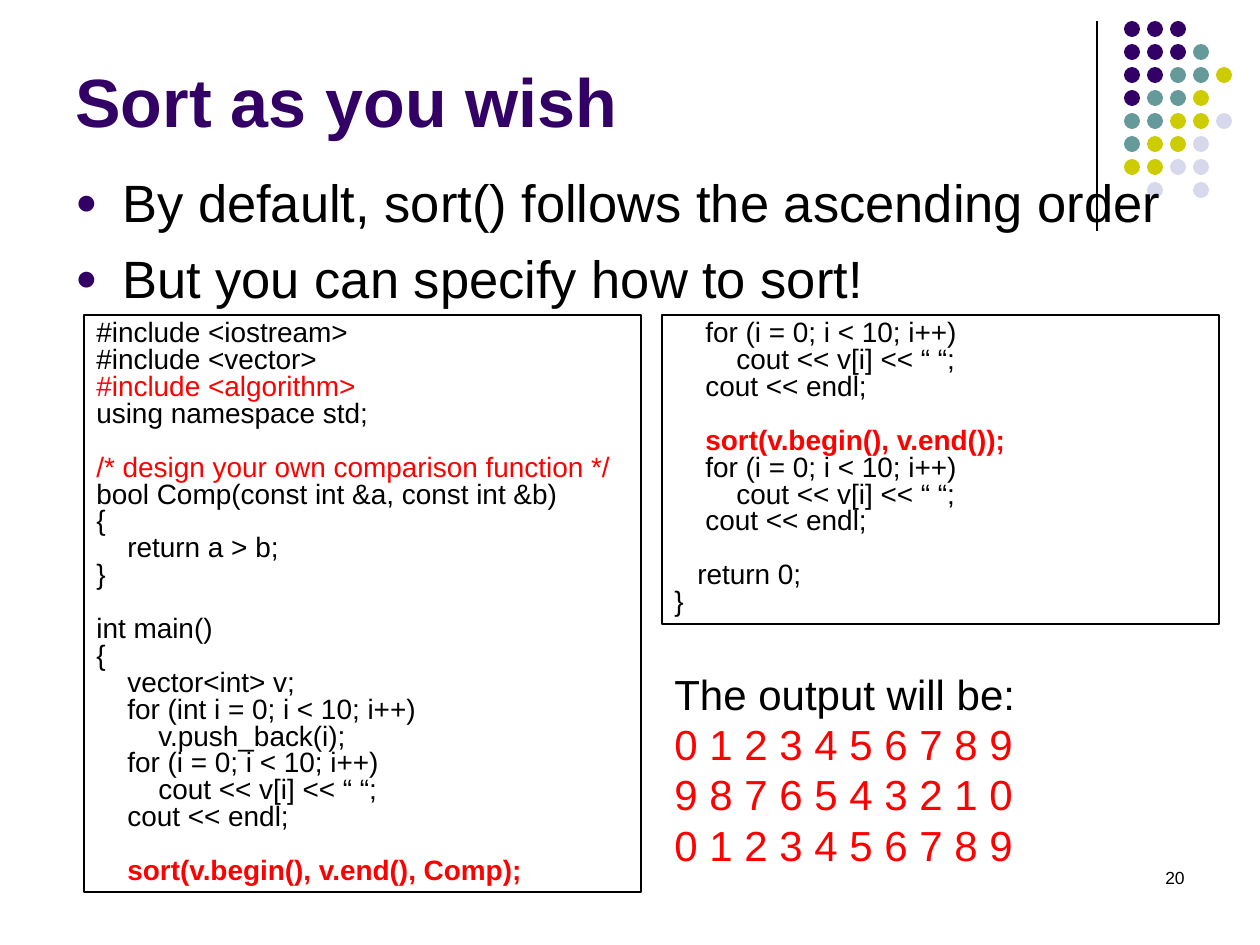
from lxml.etree import SubElement
from pptx import Presentation
from pptx.dml.color import RGBColor
from pptx.enum.shapes import MSO_CONNECTOR, MSO_SHAPE
from pptx.enum.text import MSO_ANCHOR, PP_ALIGN
from pptx.oxml.ns import qn
from pptx.util import Emu, Pt

PURPLE = RGBColor(0x33, 0x00, 0x66)
TEAL = RGBColor(0x66, 0x99, 0x99)
OLIVE = RGBColor(0xCC, 0xCC, 0x00)
LAVENDER = RGBColor(0xD8, 0xD8, 0xEC)
BLACK = RGBColor(0x00, 0x00, 0x00)
RED = RGBColor(0xFF, 0x00, 0x00)

FONT = "Arial"
DOT_COLOURS = {"P": PURPLE, "T": TEAL, "O": OLIVE, "L": LAVENDER}
DOT_ROWS = ["PPP", "PPPT", "PPTTO", "PTTO", "TTOOL", "TOOL", "OOLL", " L L"]

COMPARISON_CODE = """\
#include <iostream>
#include <vector>
#include <algorithm>
using namespace std;

/* design your own comparison function */
bool Comp(const int &a, const int &b)
{
    return a > b;
}

int main()
{
    vector<int> v;
    for (int i = 0; i < 10; i++)
        v.push_back(i);
    for (i = 0; i < 10; i++)
        cout << v[i] << “ “;
    cout << endl;

    sort(v.begin(), v.end(), Comp);"""

DEFAULT_CODE = """\
    for (i = 0; i < 10; i++)
        cout << v[i] << “ “;
    cout << endl;

    sort(v.begin(), v.end());
    for (i = 0; i < 10; i++)
        cout << v[i] << “ “;
    cout << endl;

   return 0;
}"""

RED_STARTS = ("#include <algorithm>", "/*", "sort(")
OUTPUT_LINES = ["The output will be:", "0 1 2 3 4 5 6 7 8 9",
                "9 8 7 6 5 4 3 2 1 0", "0 1 2 3 4 5 6 7 8 9"]


def px(length):
    """Turn pixels into EMU at 126 to the inch."""
    return Emu(round(length * 914400 / 126))


def format_para(para, size, colour=BLACK, bold=False):
    """Set the font of every run in a paragraph."""
    for span in para.runs:
        span.font.name = FONT
        span.font.size = Pt(size)
        span.font.bold = bold
        span.font.color.rgb = colour


def add_text(page, box, lines):
    """Place a wrapping text box with one paragraph for each line."""
    shape = page.shapes.add_textbox(*map(px, box))
    shape.text_frame.word_wrap = True
    shape.text_frame.text = "\n".join(lines)
    return shape


def add_dots(page, box):
    """Draw the rule and the grid of coloured dots to its right."""
    left, top, width, height = box
    rule = page.shapes.add_connector(
        MSO_CONNECTOR.STRAIGHT, px(left), px(top), px(left), px(top + height))
    rule.line.color.rgb = BLACK
    rule.line.width = Pt(0.75)
    SubElement(rule._element.spPr, qn("a:effectLst"))
    size, pitch = 16, 23
    first = left + width - size - 4 * pitch
    for row, codes in enumerate(DOT_ROWS):
        for column, code in enumerate(codes):
            if code in DOT_COLOURS:
                dot = page.shapes.add_shape(
                    MSO_SHAPE.OVAL, px(first + column * pitch),
                    px(top + row * pitch), px(size), px(size))
                dot.shadow.inherit = False
                dot.fill.solid()
                dot.fill.fore_color.rgb = DOT_COLOURS[code]
                dot.line.fill.background()


def add_title(page, box, text):
    """Place the heading at the bottom of its box."""
    title = add_text(page, box, [text])
    title.text_frame.vertical_anchor = MSO_ANCHOR.BOTTOM
    format_para(title.text_frame.paragraphs[0], 39, PURPLE, True)


def add_bullets(page, box, lines):
    """Place the bulleted statements."""
    for para in add_text(page, box, lines).text_frame.paragraphs:
        para.space_before = Pt(7.5)
        format_para(para, 30)
        props = para._p.get_or_add_pPr()
        props.set("marL", str(px(47)))
        props.set("indent", str(-px(47)))
        colour = SubElement(props, qn("a:buClr"))
        SubElement(colour, qn("a:srgbClr")).set("val", str(PURPLE))
        SubElement(props, qn("a:buSzPct")).set("val", "70000")
        SubElement(props, qn("a:buFont")).set("typeface", FONT)
        SubElement(props, qn("a:buChar")).set("char", "●")


def add_code(page, box, code):
    """Place a framed listing, with indents and gaps taken from the code."""
    lines = code.splitlines()
    shown = [line for line in lines if line]
    after_gap = {line for gap, line in zip(lines, lines[1:]) if not gap}
    frame = add_text(page, box, [line.strip() for line in shown])
    frame.line.color.rgb = BLACK
    frame.line.width = Pt(0.75)
    for line, para in zip(shown, frame.text_frame.paragraphs):
        text = line.strip()
        spaces = len(line) - len(text)
        para.line_spacing = 0.8
        if line in after_gap:
            para.space_before = Pt(15.4)
        para._p.get_or_add_pPr().set("marL", str(px(spaces * 31 // 4)))
        colour = RED if text.startswith(RED_STARTS) else BLACK
        format_para(para, 16, colour, text.startswith("sort("))


def add_output(page, box, lines):
    """Place the output caption and its red number rows."""
    paras = add_text(page, box, lines).text_frame.paragraphs
    for index, para in enumerate(paras):
        format_para(para, 24, RED if index else BLACK)


def add_page_number(page, box, number):
    """Place the right-aligned page number."""
    para = add_text(page, box, [number]).text_frame.paragraphs[0]
    para.alignment = PP_ALIGN.RIGHT
    format_para(para, 10)


def main():
    """Build the sorting slide and save it."""
    deck = Presentation()
    deck.slide_width, deck.slide_height = px(1260), px(945)
    page = deck.slides.add_slide(deck.slide_layouts[6])
    add_dots(page, (1097, 21, 135, 210))
    add_title(page, (63, -32, 1040, 179), "Sort as you wish")
    add_bullets(page, (63, 164, 1134, 163), [
        "By default, sort() follows the ascending order",
        "But you can specify how to sort!"])
    add_page_number(page, (903, 861, 294, 63), "20")
    add_code(page, (84, 315, 557, 577), COMPARISON_CODE)
    add_code(page, (662, 315, 557, 309), DEFAULT_CODE)
    add_output(page, (662, 662, 451, 214), OUTPUT_LINES)
    deck.save("out.pptx")


if __name__ == "__main__":
    main()
